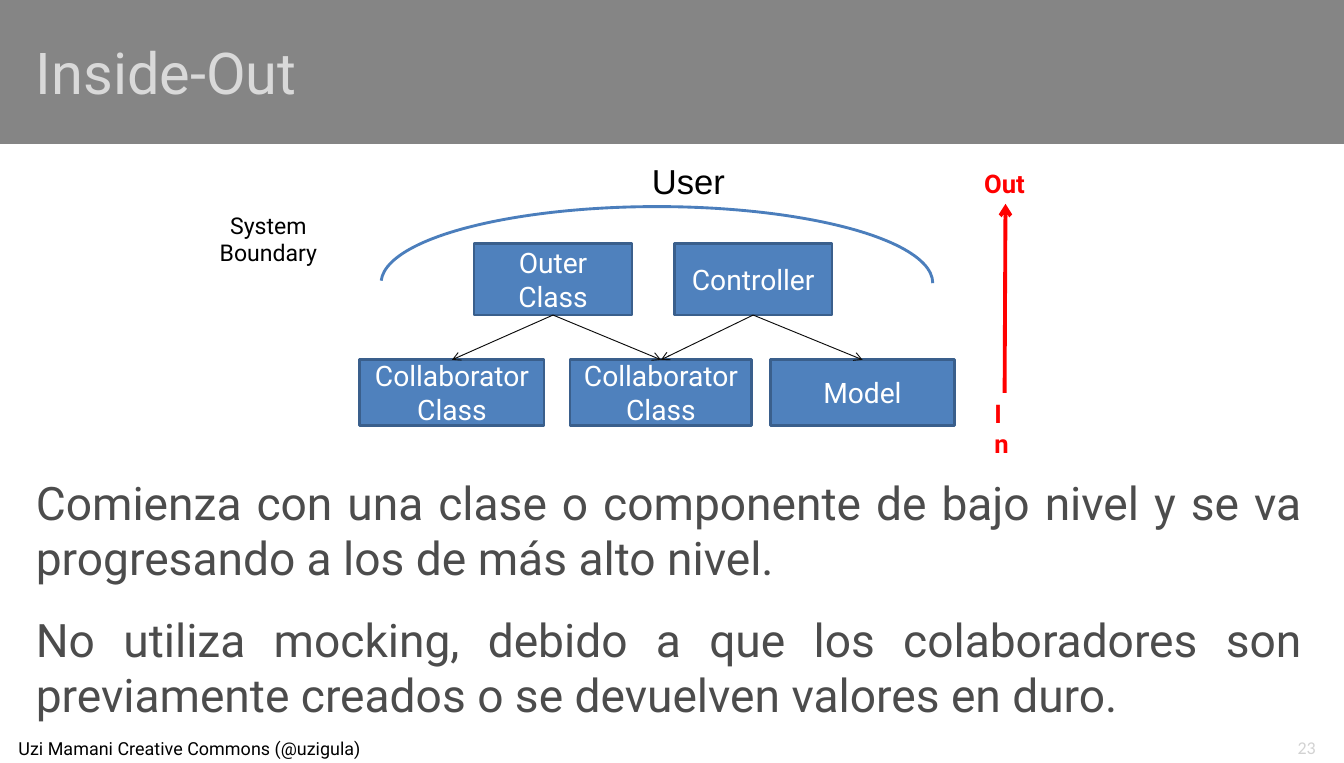
from lxml import etree
from pptx import Presentation
from pptx.dml.color import RGBColor
from pptx.enum import shapes, text
from pptx.oxml import ns
from pptx.util import Pt

COLORS = {
    "band": "0D0D0D", "title": "D9D9D9", "body": "4C4C4C", "number": "A6A6A6",
    "box": "4F81BD", "edge": "3A5F8C", "arc": "4B7EBC",
    "red": "FF0000", "black": "000000", "white": "FFFFFF",
}
WIDTH, HEIGHT = 1049, 595.5
LEFT, CENTER, JUSTIFY = text.PP_ALIGN.LEFT, text.PP_ALIGN.CENTER, text.PP_ALIGN.JUSTIFY
TOP, MIDDLE = text.MSO_ANCHOR.TOP, text.MSO_ANCHOR.MIDDLE


def color(name):
    return RGBColor.from_string(COLORS[name])


def write(sp, paragraphs, size, ink, align=LEFT, anchor=TOP, insets=(7.2, 3.6, 7.2, 3.6),
          font="Roboto", bold=False, gap=0):
    tf = sp.text_frame
    tf.word_wrap = True
    tf.vertical_anchor = anchor
    tf.margin_left, tf.margin_top, tf.margin_right, tf.margin_bottom = map(Pt, insets)
    for i, words in enumerate(paragraphs):
        p = tf.add_paragraph() if i else tf.paragraphs[0]
        p.text = words
        p.alignment = align
        p.font.name, p.font.size, p.font.bold = font, Pt(size), bold
        p.font.color.rgb = color(ink)
        if i:
            p.space_before = Pt(gap)


def add_label(s, box, paragraphs, size, ink, **style):
    write(s.shapes.add_textbox(*map(Pt, box)), paragraphs, size, ink, **style)


def add_rect(s, box, fill):
    sp = s.shapes.add_shape(shapes.MSO_SHAPE.RECTANGLE, *map(Pt, box))
    sp.shadow.inherit = False
    sp.fill.solid()
    sp.fill.fore_color.rgb = color(fill)
    return sp


def add_band(s, box, fill, words, size, ink, insets):
    sp = add_rect(s, box, fill)
    sp.line.fill.background()
    rgb = sp._element.spPr.find(".//" + ns.qn("a:srgbClr"))
    etree.SubElement(rgb, ns.qn("a:alpha"), val="50000")
    write(sp, [words], size, ink, anchor=MIDDLE, insets=insets)


def add_class(s, box, words):
    sp = add_rect(s, box, "box")
    sp.line.color.rgb = color("edge")
    sp.line.width = Pt(2)
    write(sp, [words], 22, "white", align=CENTER, anchor=MIDDLE)
    return sp


def add_arc(s, box):
    sp = s.shapes.add_shape(shapes.MSO_SHAPE.ARC, *map(Pt, box))
    sp.shadow.inherit = False
    sp.fill.background()
    sp.line.color.rgb = color("arc")
    sp.line.width = Pt(2.25)
    sp.adjustments[0], sp.adjustments[1] = 108.31, 0


def add_arrow(s, ends, ink, width):
    line = s.shapes.add_connector(shapes.MSO_CONNECTOR.STRAIGHT, *map(Pt, ends))
    line.line.color.rgb = color(ink)
    line.line.width = Pt(width)
    etree.SubElement(line.line._get_or_add_ln(), ns.qn("a:tailEnd"), type="arrow")
    etree.SubElement(line._element.spPr, ns.qn("a:effectLst"))
    return line


def join(s, caller, callee):
    line = add_arrow(s, (0, 0, 0, 0), "band", 0.75)
    line.begin_connect(caller, 2)
    line.end_connect(callee, 0)


def add_diagram(s):
    add_label(s, (501.8, 121, 79, 40), ["User"], 27, "black", font="Arial")
    add_label(s, (161.3, 161.3, 96.5, 51), ["System\nBoundary"], 18, "black", align=CENTER)
    add_arc(s, (297.4, 161.3, 430.6, 119.5))
    outer, controller = [
        add_class(s, (left, 190.1, 123.1, 55.8), words)
        for left, words in ((370.1, "Outer\nClass"), (526.3, "Controller"))
    ]
    first, second, model = [
        add_class(s, (left, 280.8, width, 51.1), words)
        for left, width, words in ((280.8, 144, "Collaborator\nClass"),
                                   (445, 141.8, "Collaborator\nClass"),
                                   (601.2, 144, "Model"))
    ]
    for caller, callee in ((outer, first), (outer, second),
                           (controller, second), (controller, model)):
        join(s, caller, callee)


def add_direction(s):
    add_arrow(s, (784.1, 306.7, 784.8, 159.1), "red", 3)
    add_label(s, (769, 306.7, 31, 55), ["In"], 20, "red", bold=True)
    add_label(s, (761, 127.4, 52, 31.7), ["Out"], 20, "red", bold=True)


def main():
    prs = Presentation()
    prs.slide_width, prs.slide_height = Pt(WIDTH), Pt(HEIGHT)
    s = prs.slides.add_slide(prs.slide_layouts[6])
    add_band(s, (0, 0, WIDTH, 112.3), "band", "Inside-Out", 45, "title", (28, 4.3, 32.4, 4.3))
    add_label(s, (0, 366, WIDTH, 206.6), [
        "Comienza con una clase o componente de bajo nivel y se va progresando "
        "a los de más alto nivel.",
        "No utiliza mocking, debido a que los colaboradores son previamente creados "
        "o se devuelven valores en duro.",
    ], 36, "body", align=JUSTIFY, insets=(28, 4.3, 32.4, 4.3), gap=20.3)
    add_label(s, (1004.4, 571, 31, 24.5), ["23"], 14, "number", align=CENTER,
              anchor=MIDDLE, insets=(0, 4.3, 0, 4.3), font="Calibri")
    add_diagram(s)
    add_direction(s)
    add_band(s, (0, 572.4, WIDTH, 23), "white", "Uzi Mamani Creative Commons (@uzigula)",
             14, "black", (14.4, 0, 3.6, 0))
    prs.save("out.pptx")


if __name__ == "__main__":
    main()
